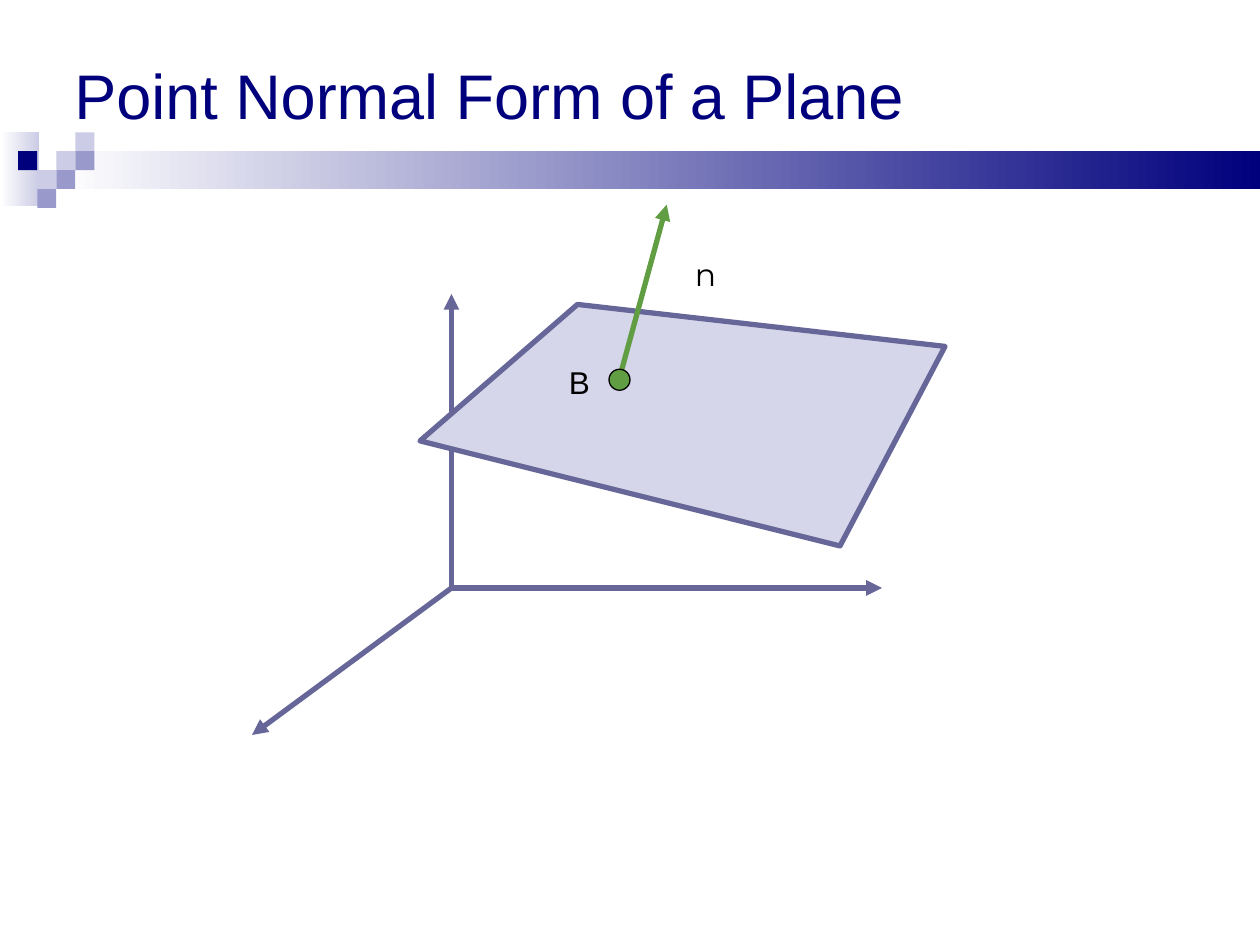
from lxml import etree
from pptx import Presentation
from pptx.dml.color import RGBColor
from pptx.enum import shapes, text
from pptx.oxml.ns import qn
from pptx.util import Pt

THEME = {
    "navy": "00007D", "mid": "9999CC", "pale": "CCCCE6", "white": "FFFFFF",
    "axis": "666699", "plane": "D6D6EA", "normal": "619D43", "ink": "000000",
    "title_size": 36, "label_size": 18, "stroke": 3, "thin": 0.75,
}

TITLE = ("Point Normal Form of a Plane", (35.3, 0, 648, 108))

# Title band: gradient bars (end colour, box) and tiles (column, row, colour)
BARS = [("pale", (0, 75.6, 22.3, 42)), ("navy", (32.4, 86.4, 687.6, 21.6))]
TILES = [(2, 1, "pale"), (3, 0, "pale"), (3, 1, "mid"), (1, 2, "pale"),
         (0, 1, "navy"), (2, 2, "mid"), (1, 3, "mid")]
TILE_ORIGIN, TILE_STEP, TILE_SIZE = (10.4, 75.6), (10.9, 10.8), 10.8

# Diagram
ORIGIN = (258, 336)
AXIS_ENDS = [(258, 168), (144, 420), (504, 336)]
PLANE = [(240, 252), (330, 174), (540, 198), (480, 312)]
POINT, POINT_SIZE = (354, 217), 12
NORMAL = ((354, 216), (381, 117))
LABELS = [("B", "Arial", (318, 204, 24, 28.8)),
          ("n", "Montserrat", (390, 142, 30, 28.8))]


def colour(name):
    return RGBColor.from_string(THEME[name])


def points(values):
    return [Pt(value) for value in values]


def paint(shape, fill, line=None, width=None):
    shape.shadow.inherit = False
    shape.fill.solid()
    shape.fill.fore_color.rgb = colour(fill)
    if line:
        shape.line.color.rgb = colour(line)
        shape.line.width = Pt(width)
    else:
        shape.line.fill.background()


def add_preset(page, kind, place, *style):
    shape = page.shapes.add_shape(kind, *points(place))
    paint(shape, *style)
    return shape


def add_bar(page, end_colour, place):
    bar = add_preset(page, shapes.MSO_SHAPE.RECTANGLE, place, end_colour)
    bar.fill.gradient()
    bar.fill.gradient_angle = 0
    for stop, name in zip(bar.fill.gradient_stops, ("white", end_colour)):
        stop.color.rgb = colour(name)


def add_arrow(page, start, end, name):
    arrow = page.shapes.add_connector(
        shapes.MSO_CONNECTOR.STRAIGHT, *points(start + end))
    arrow.line.color.rgb = colour(name)
    arrow.line.width = Pt(THEME["stroke"])
    etree.SubElement(arrow.line._get_or_add_ln(), qn("a:tailEnd"), type="triangle")
    etree.SubElement(arrow._element.spPr, qn("a:effectLst"))


def write(box, words, font, size, name, **frame_format):
    frame = box.text_frame
    for key, value in frame_format.items():
        setattr(frame, key, value)
    para = frame.paragraphs[0]
    para.alignment = text.PP_ALIGN.LEFT
    span = para.add_run()
    span.text = words
    for key, value in {"name": font, "size": Pt(size)}.items():
        setattr(span.font, key, value)
    span.font.color.rgb = colour(name)


def add_title(page):
    words, place = TITLE
    box = page.shapes.title
    for key, value in zip(("left", "top", "width", "height"), points(place)):
        setattr(box, key, value)
    write(box, words, "Arial", THEME["title_size"], "navy", word_wrap=True,
          auto_size=text.MSO_AUTO_SIZE.NONE,
          vertical_anchor=text.MSO_ANCHOR.MIDDLE)


def add_band(page):
    for end_colour, place in BARS:
        add_bar(page, end_colour, place)
    for column, row, name in TILES:
        left = TILE_ORIGIN[0] + column * TILE_STEP[0]
        top = TILE_ORIGIN[1] + row * TILE_STEP[1]
        add_preset(page, shapes.MSO_SHAPE.RECTANGLE,
                   (left, top, TILE_SIZE, TILE_SIZE), name)


def add_diagram(page):
    for end in AXIS_ENDS:
        add_arrow(page, ORIGIN, end, "axis")

    corners = [points(corner) for corner in PLANE]
    outline = page.shapes.build_freeform(*corners[0])
    outline.add_line_segments(corners[1:], close=True)
    paint(outline.convert_to_shape(), "plane", "axis", THEME["stroke"])

    add_arrow(page, *NORMAL, "normal")
    corner = [centre - POINT_SIZE / 2 for centre in POINT]
    add_preset(page, shapes.MSO_SHAPE.OVAL, (*corner, POINT_SIZE, POINT_SIZE),
               "normal", "ink", THEME["thin"])

    for words, font, place in LABELS:
        box = page.shapes.add_textbox(*points(place))
        write(box, words, font, THEME["label_size"], "ink", word_wrap=True,
              auto_size=text.MSO_AUTO_SIZE.SHAPE_TO_FIT_TEXT)


def main():
    deck = Presentation()
    deck.slide_width, deck.slide_height = Pt(720), Pt(540)
    page = deck.slides.add_slide(deck.slide_layouts.get_by_name("Title Only"))
    add_band(page)
    add_title(page)
    add_diagram(page)
    deck.save("out.pptx")


if __name__ == "__main__":
    main()
